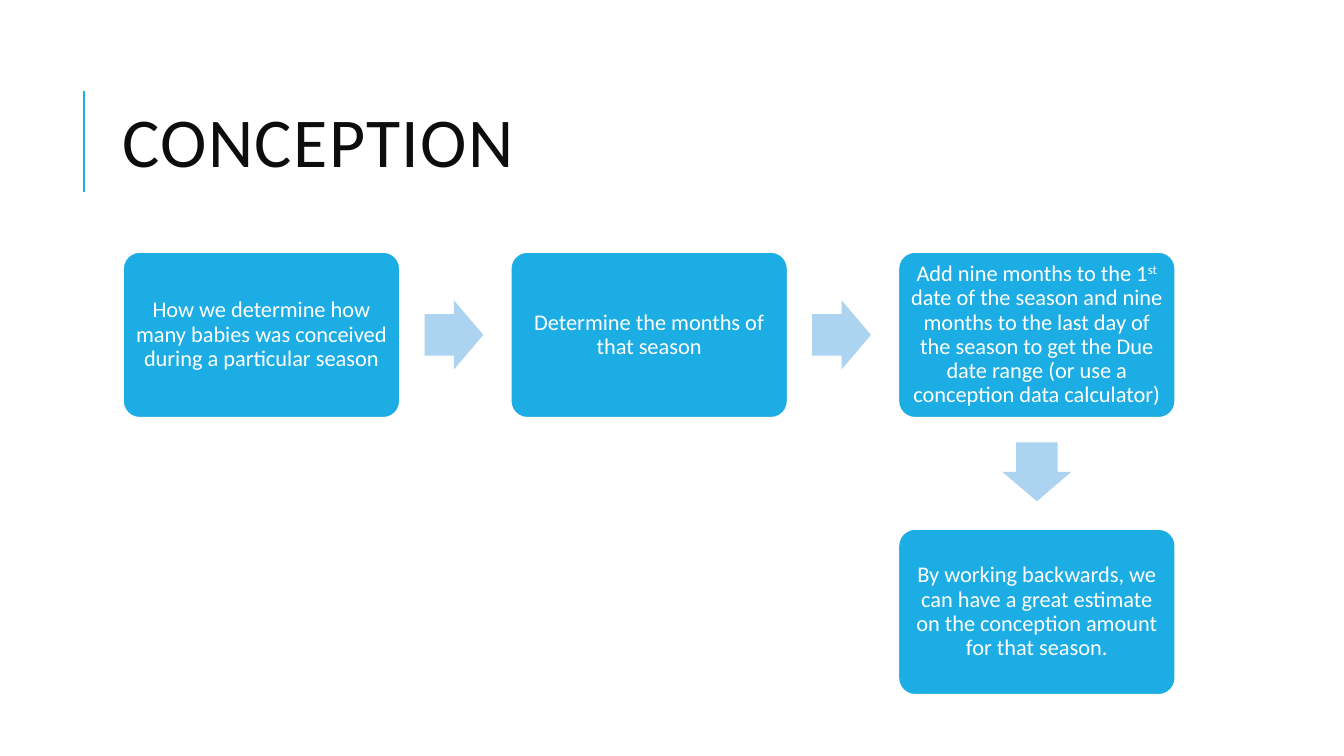
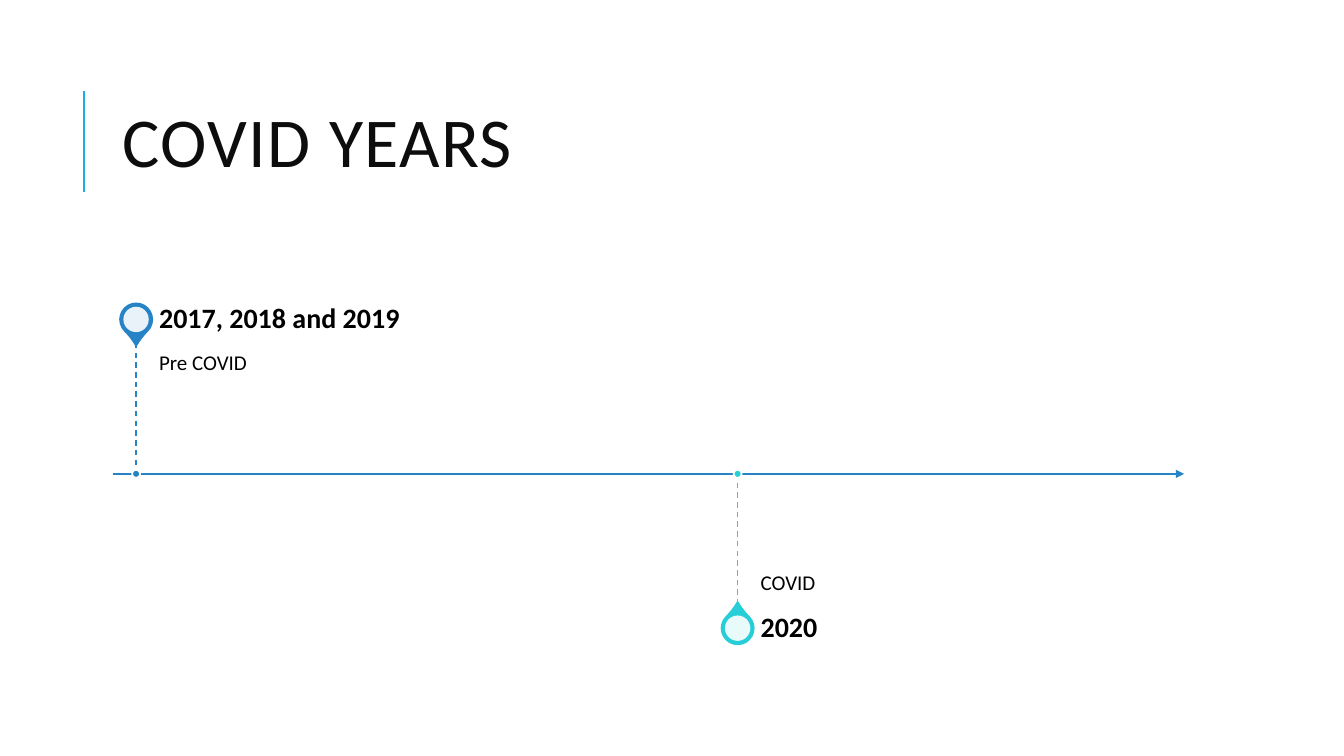
import pptx
import pptx.dml.color
import pptx.enum.dml
import pptx.enum.shapes
import pptx.enum.text
import pptx.oxml.ns
import pptx.util
from lxml import etree

Cm = pptx.util.Cm
Pt = pptx.util.Pt
SHAPE = pptx.enum.shapes.MSO_SHAPE
ALIGN = pptx.enum.text.PP_ALIGN
ANCHOR = pptx.enum.text.MSO_ANCHOR
qn = pptx.oxml.ns.qn

FONT = "Calibri"
CYAN, BLUE, TEAL, PALE = "1CADE4", "2683C6", "27CED7", "ACD3EF"
WHITE, BLACK, INK = "FFFFFF", "000000", "0D0D0D"

BOX_W, BOX_H = 6.98, 4.18
FLOW_LEFT, FLOW_TOP = 3.1, 6.35
STEP_X, STEP_Y = 9.77, 6.98
ARROW_W, ARROW_H, ARROW_GAP = 1.48, 1.74, 1.36

AXIS_Y, STEM, HEADING_H = 11.94, 3.3, 1.18
PIN, PIN_HOLE, DOT = 0.81, 0.64, 0.2


def rgb(color):
    return pptx.dml.color.RGBColor.from_string(color)


def add_line(s, x1, y1, x2, y2, color, width, dashed=False, arrow=False):
    sp = s.shapes.add_connector(
        pptx.enum.shapes.MSO_CONNECTOR.STRAIGHT, Cm(x1), Cm(y1), Cm(x2), Cm(y2))
    sp.line.color.rgb = rgb(color)
    sp.line.width = Pt(width)
    if dashed:
        sp.line.dash_style = pptx.enum.dml.MSO_LINE.DASH
    if arrow:
        etree.SubElement(sp.line._get_or_add_ln(), qn("a:tailEnd"), type="triangle")
    etree.SubElement(sp._element.spPr, qn("a:effectLst"))


def add_shape(s, kind, cx, cy, w, h, fill, line=None, adj=(), rotation=0, alpha=None):
    sp = s.shapes.add_shape(kind, Cm(cx - w / 2), Cm(cy - h / 2), Cm(w), Cm(h))
    sp.shadow.inherit = False
    sp.rotation = rotation
    for i, value in enumerate(adj):
        sp.adjustments[i] = value
    sp.fill.solid()
    sp.fill.fore_color.rgb = rgb(fill)
    if alpha is not None:
        clr = sp._element.spPr.find(qn("a:solidFill"))[0]
        etree.SubElement(clr, qn("a:alpha"), val=str(alpha * 1000))
    if line:
        sp.line.color.rgb = rgb(line)
        sp.line.width = Pt(1.25)
    else:
        sp.line.fill.background()
    return sp


def set_frame(tf, anchor, insets):
    tf.word_wrap = True
    tf.auto_size = pptx.enum.text.MSO_AUTO_SIZE.NONE
    tf.vertical_anchor = anchor
    tf.margin_left, tf.margin_top, tf.margin_right, tf.margin_bottom = map(Cm, insets)


def format_paragraph(p, size, color, bold=False, align=ALIGN.LEFT, spacing=0.9):
    p.alignment = align
    p.line_spacing = spacing
    for r in p.runs:
        r.font.name = FONT
        r.font.size = Pt(size)
        r.font.bold = bold
        r.font.color.rgb = rgb(color)


def add_text(s, text, x, y, w, h, size, anchor, insets, bold=False):
    tf = s.shapes.add_textbox(Cm(x), Cm(y), Cm(w), Cm(h)).text_frame
    set_frame(tf, anchor, insets)
    tf.text = text
    format_paragraph(tf.paragraphs[0], size, BLACK, bold)


def add_titled_slide(prs, title):
    s = prs.slides.add_slide(prs.slide_layouts[5])
    add_line(s, 2.12, 4.83, 2.12, 2.29, CYAN, 1.5)
    sp = s.shapes.title
    sp.left, sp.top, sp.width, sp.height = Cm(2.84), Cm(1.63), Cm(27), Cm(4.17)
    tf = sp.text_frame
    set_frame(tf, ANCHOR.MIDDLE, (0.25, 0.13, 0.25, 0.13))
    tf.text = title
    p = tf.paragraphs[0]
    format_paragraph(p, 50, INK, spacing=0.8)
    p.runs[0].font._element.set("spc", "100")
    return s


def add_step(s, col, row, parts):
    cx = FLOW_LEFT + col * STEP_X + BOX_W / 2
    cy = FLOW_TOP + row * STEP_Y + BOX_H / 2
    sp = add_shape(s, SHAPE.ROUNDED_RECTANGLE, cx, cy, BOX_W, BOX_H, CYAN, WHITE, (0.1,))
    tf = sp.text_frame
    set_frame(tf, ANCHOR.MIDDLE, (0.18,) * 4)
    p = tf.paragraphs[0]
    for i, part in enumerate(parts):
        r = p.add_run()
        r.text = part
        if i % 2:
            r.font._element.set("baseline", "30000")
    format_paragraph(p, 16, WHITE, align=ALIGN.CENTER)
    return cx, cy


def add_flow_arrow(s, cx, cy, down):
    if down:
        cy += BOX_H / 2 + ARROW_GAP
    else:
        cx += BOX_W / 2 + ARROW_GAP
    add_shape(s, SHAPE.RIGHT_ARROW, cx, cy, ARROW_W, ARROW_H, PALE,
              adj=(0.6, 0.5), rotation=90 if down else 0)


def add_milestone(s, x, above, color, heading, detail):
    side = -1 if above else 1
    stem_end = AXIS_Y + side * STEM
    cy = stem_end + side * HEADING_H / 2
    add_shape(s, SHAPE.TEAR, x, cy, PIN, PIN, color, color, (1.15,), 135 if above else 315)
    add_shape(s, SHAPE.OVAL, x, cy, PIN_HOLE, PIN_HOLE, WHITE, alpha=90)
    label_x, label_w = x + 0.58, 9.83
    add_text(s, detail, label_x, min(AXIS_Y, stem_end), label_w, STEM, 15,
             ANCHOR.TOP if above else ANCHOR.BOTTOM, (0, 0.25, 0, 0.25))
    add_text(s, heading, label_x, cy - HEADING_H / 2, label_w, HEADING_H, 20,
             ANCHOR.MIDDLE, (0, 0, 0.36, 0), bold=True)
    add_line(s, x, stem_end, x, AXIS_Y, color, 1, dashed=True)
    add_shape(s, SHAPE.OVAL, x, AXIS_Y, DOT, DOT, color, WHITE)


def build_conception(prs):
    s = add_titled_slide(prs, "CONCEPTION")
    steps = [
        (0, 0, ["How we determine how many babies was conceived during a particular season"]),
        (1, 0, ["Determine the months of that season"]),
        (2, 0, ["Add nine months to the 1", "st",
                " date of the season and nine months to the last day of the season "
                "to get the Due date range (or use a conception data calculator)"]),
        (2, 1, ["By working backwards, we can have a great estimate on the "
                "conception amount for that season."]),
    ]
    for i, (col, row, parts) in enumerate(steps):
        cx, cy = add_step(s, col, row, parts)
        if i + 1 < len(steps):
            add_flow_arrow(s, cx, cy, down=steps[i + 1][1] > row)


def build_covid_years(prs):
    s = add_titled_slide(prs, "COVID YEARS")
    add_line(s, 2.84, AXIS_Y, 29.84, AXIS_Y, BLUE, 1.5, arrow=True)
    add_milestone(s, 3.43, True, BLUE, "2017, 2018 and 2019", "Pre COVID")
    add_milestone(s, 18.59, False, TEAL, "2020", "COVID")


def main():
    prs = pptx.Presentation()
    prs.slide_width, prs.slide_height = Cm(33.87), Cm(19.05)
    build_conception(prs)
    build_covid_years(prs)
    prs.save("out.pptx")


if __name__ == "__main__":
    main()
